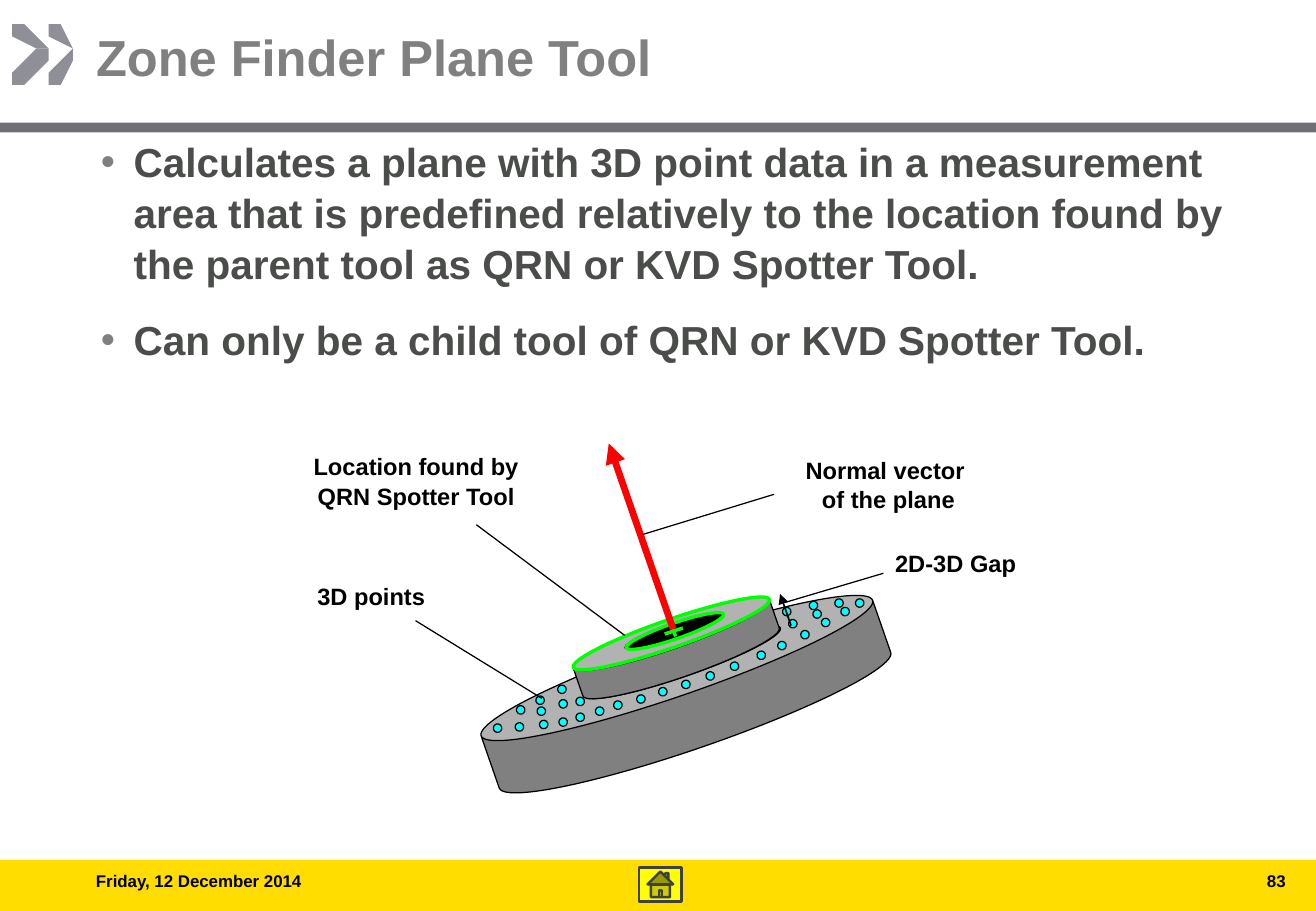
from lxml.etree import SubElement
from pptx import Presentation
from pptx.dml.color import RGBColor
from pptx.enum.shapes import MSO_CONNECTOR as Link, MSO_SHAPE as Shape
from pptx.enum.text import MSO_ANCHOR as Anchor, MSO_AUTO_SIZE as Fit, PP_ALIGN as Align
from pptx.oxml.ns import qn
from pptx.util import Inches, Pt

COLS, ROWS = 108.3, 75
CELL = Inches(0.1)
TILT = 340.9
HUES = {
    "gold": "FFDD00", "slate": "6F7076", "mark": "8F9097", "title": "808080",
    "body": "4A4D4A", "black": "000000", "metal": "808080", "point": "00FFFF",
    "lime": "00FF00", "red": "FF0000", "home": "FFFF00", "edge": "404040",
}
DOTS = [
    (40.6, 59.6), (42.4, 59.5), (44.4, 59.3), (46, 59.1), (47.4, 58.7), (49, 58.2),
    (50.5, 57.7), (52.4, 57.2), (54.2, 56.6), (56.1, 56), (58.1, 55.3), (60.1, 54.5),
    (62.3, 53.6), (64, 52.8), (65.9, 51.9), (67.6, 50.9), (69.2, 50), (70.4, 49.3),
    (68.7, 49.3), (42.5, 58.1), (44.1, 57.3), (45.9, 56.4), (64.4, 50), (66.6, 49.5),
    (44.2, 58.2), (46, 57.6), (47.4, 57.4), (64.9, 51), (66.9, 50.2),
]
LABELS = [
    (["Location found by QRN Spotter Tool"], (23.2, 36.6, 22.1, 5.7)),
    (["Normal vector", " of the plane"], (63.3, 36.9, 19.1, 5.7)),
    (["3D points"], (23.1, 47.3, 14.9, 3.3)),
    (["2D-3D Gap"], (71.5, 44.6, 14.3, 3.4)),
]
LEADS = [
    ((39.2, 43.2), (51.4, 52.3)), ((52.9, 44), (63.7, 40.7)),
    ((44.6, 57.5), (34.2, 51.1)), ((64.6, 49.6), (72.7, 47.2)),
]
FACTS = [
    "Calculates a plane with 3D point data in a measurement area that is predefined "
    "relatively to the location found by the parent tool as QRN or KVD Spotter Tool.",
    "Can only be a child tool of QRN or KVD Spotter Tool.",
]


def grid(*cells):
    """Turn grid cells into lengths."""
    return [round(n * CELL) for n in cells]


def tint(name):
    """Look up a colour by name."""
    return RGBColor.from_string(HUES[name])


def paint(item, fill=None, line=None, width=0.75):
    """Set fill and outline, and drop the shadow."""
    item.shadow.inherit = False
    if fill:
        item.fill.solid()
        item.fill.fore_color.rgb = tint(fill)
    else:
        item.fill.background()
    if line:
        item.line.color.rgb = tint(line)
        item.line.width = Pt(width)
    else:
        item.line.fill.background()


def form(pool, kind, box, fill=None, line=None, width=0.75, turn=0):
    """Add a preset shape."""
    item = pool.add_shape(kind, *grid(*box))
    item.rotation = turn
    paint(item, fill, line, width)
    return item


def rule(pool, start, end, hue="black", width=0.75, tip=None):
    """Add a straight line with an optional arrowhead."""
    item = pool.add_connector(Link.STRAIGHT, *grid(*start, *end))
    item.line.color.rgb = tint(hue)
    item.line.width = Pt(width)
    if tip:
        SubElement(item.line._get_or_add_ln(), qn("a:" + tip), type="triangle")
    SubElement(item._element.spPr, qn("a:effectLst"))


def setup(item, box, pads):
    """Place a text holder and set its insets."""
    item.left, item.top, item.width, item.height = grid(*box)
    frame = item.text_frame
    frame.word_wrap = True
    frame.auto_size = Fit.NONE
    frame.vertical_anchor = Anchor.TOP
    (frame.margin_left, frame.margin_top,
     frame.margin_right, frame.margin_bottom) = grid(*pads)
    return frame


def write(para, text, size, hue, align=Align.LEFT, pitch=1.05):
    """Add one bold run to a paragraph."""
    para.alignment = align
    para.line_spacing = pitch
    run = para.add_run()
    run.text = text
    font = run.font
    font.name, font.size, font.bold = "Arial", Pt(size), True
    font.color.rgb = tint(hue)


def note(pool, lines, box, size=14, align=Align.CENTER, pads=(1, 0.5, 1, 0.5)):
    """Add a text box with broken lines."""
    para = setup(pool.add_textbox(*grid(*box)), box, pads).paragraphs[0]
    for i, text in enumerate(lines):
        if i:
            para.add_line_break()
        write(para, text, size, "black", align)


def bullet(para):
    """Give a paragraph a grey hanging bullet."""
    props = para._p.get_or_add_pPr()
    props.set("marL", str(Inches(0.31)))
    props.set("indent", str(Inches(-0.27)))
    hue = SubElement(props, qn("a:buClr"))
    SubElement(hue, qn("a:srgbClr"), val=HUES["title"])
    SubElement(props, qn("a:buFont"), typeface="Arial")
    SubElement(props, qn("a:buChar"), char="•")


def chevrons(pool):
    """Draw the double chevron from one mirrored half."""
    half = [(0, 2.35), (0, 1.55), (1.6, 0), (2.4, 0), (2.4, 0.8), (0.9, 2.35)]
    for left in (1.4, 3.9):
        for base, flip in ((4.5, 1), (4.4, -1)):
            pts = [(left + x, base + flip * y) for x, y in half]
            pen = pool.build_freeform(*pts[0], scale=CELL)
            pen.add_line_segments(pts[1:], close=True)
            paint(pen.convert_to_shape(), "mark")


def sensor(pool):
    """Draw the tilted discs, points, marks and normal vector."""
    def disc(kind, box, fill=None, line="black", width=0.75):
        return form(pool, kind, box, fill, line, width, TILT)

    disc(Shape.CAN, (39.4, 52.6, 34.1, 9.1), "metal").adjustments[0] = 0.5
    disc(Shape.OVAL, (47.6, 53.3, 17.1, 2.4), "black")
    for x, y in DOTS:
        disc(Shape.OVAL, (x, y, 0.7, 0.7), "point")
    disc(Shape.CAN, (47.1, 50.9, 17.1, 4.9), "metal").adjustments[0] = 0.5
    disc(Shape.OVAL, (51.2, 51.3, 8.5, 1.3), "black")
    disc(Shape.OVAL, (46.7, 51, 17.1, 2.3), None, "lime", 2)
    disc(Shape.OVAL, (51.3, 51.3, 8.5, 1.3), None, "lime", 2)
    rule(pool, (54.7, 52.2), (56.2, 51.7), "lime", 2)
    rule(pool, (55.6, 52.4), (55.3, 51.6), "lime", 2)
    rule(pool, (55.4, 51.8), (50.1, 36.5), "red", 4, "tailEnd")


def main():
    """Build and save the slide."""
    deck = Presentation()
    deck.slide_width, deck.slide_height = grid(COLS, ROWS)
    slide = deck.slides.add_slide(deck.slide_layouts[1])
    pool = slide.shapes
    form(pool, Shape.RECTANGLE, (0, 70.8, COLS, 4.2), "gold")
    form(pool, Shape.RECTANGLE, (0, 10.1, COLS, 0.8), "slate")
    chevrons(pool.add_group_shape().shapes)

    head = setup(pool.title, (0, 0, COLS, 8.4), (7.9, 1.6, 17.7, 0))
    write(head.paragraphs[0], "Zone Finder Plane Tool", 30, "title", pitch=1.1)
    body = setup(slide.placeholders[1], (0, 9.1, COLS, 22.1), (7.9, 2, 3.9, 0))
    for i, fact in enumerate(FACTS):
        para = body.add_paragraph() if i else body.paragraphs[0]
        bullet(para)
        para.space_before = Pt(10 if i else 0)
        para.space_after = Pt(5)
        write(para, fact, 24, "body")

    sensor(pool.add_group_shape().shapes)
    for start, end in LEADS:
        rule(pool, start, end)
    rule(pool, (64.2, 48.9), (65.1, 51.5), width=1, tip="headEnd")
    for lines, box in LABELS:
        note(pool, lines, box)

    note(pool, ["Friday, 12 December 2014"], (7.9, 70.8, 48.3, 4.2), 10,
         Align.LEFT, (0, 0.8, 1, 0.4))
    note(pool, ["83"], (89.6, 70.8, 16.2, 4.2), 10, Align.RIGHT, (1, 0.8, 0, 0))
    form(pool, Shape.ACTION_BUTTON_HOME, (52.6, 71.4, 3.5, 2.8), "home", "edge", 1.5)
    deck.save("out.pptx")


if __name__ == "__main__":
    main()
